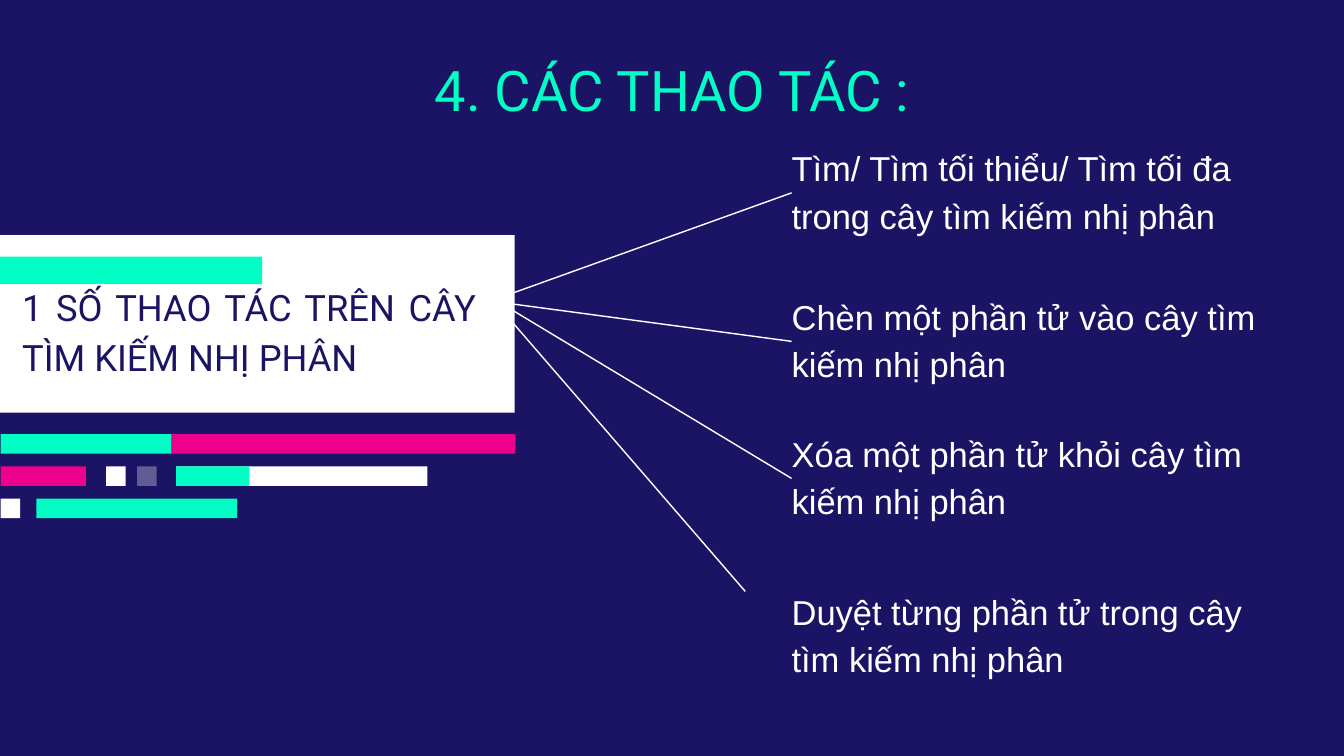
from pptx import Presentation
from pptx.dml.color import RGBColor
from pptx.enum.shapes import MSO_CONNECTOR, MSO_SHAPE
from pptx.enum.text import MSO_ANCHOR, MSO_AUTO_SIZE, PP_ALIGN
from pptx.oxml.ns import qn
from pptx.util import Inches, Pt
from lxml.etree import SubElement

NAVY = RGBColor(0x1B, 0x14, 0x64)
MINT = RGBColor(0x00, 0xFF, 0xC5)
PINK = RGBColor(0xEC, 0x00, 0x8C)
WHITE = RGBColor(0xFF, 0xFF, 0xFF)

ROWS = [6.46, 6.94, 7.42]
BAR = 0.29
BARS = [
    (0, 2.55, 5.12, PINK, 100),
    (0, 0.01, 2.54, MINT, 100),
    (1, 2.62, 3.74, WHITE, 100),
    (1, 2.62, 1.09, MINT, 100),
    (1, 0.01, 1.27, PINK, 100),
    (1, 2.04, BAR, WHITE, 31),
    (1, 1.58, BAR, WHITE, 100),
    (2, 0.01, BAR, WHITE, 100),
    (2, 0.54, 2.99, MINT, 100),
]
LINES = [
    ((11.78, 2.87), (7.3, 4.48), True),
    ((11.78, 5.08), (7.3, 4.48), True),
    ((7.3, 4.42), (11.78, 7.12), False),
    ((7.3, 4.42), (11.09, 8.8), False),
]
ITEMS = [
    (2.1, "Tìm/ Tìm tối thiểu/ Tìm tối đa trong cây tìm kiếm nhị phân"),
    (4.31, "Chèn một phần tử vào cây tìm kiếm nhị phân"),
    (6.35, "Xóa một phần tử khỏi cây tìm kiếm nhị phân"),
    (8.7, "Duyệt từng phần tử trong cây tìm kiếm nhị phân"),
]


class Deck:
    head_font = "Roboto"
    body_font = "Arial"

    def __init__(self, slide):
        self.slide = slide
        fill = slide.background.fill
        fill.solid()
        fill.fore_color.rgb = NAVY

    def style(self, shape, text, font, size, lead, color, align):
        frame = shape.text_frame
        frame.text = text
        frame.word_wrap = True
        frame.auto_size = MSO_AUTO_SIZE.NONE
        frame.vertical_anchor = MSO_ANCHOR.TOP
        frame.margin_left = frame.margin_right = 0
        frame.margin_top = frame.margin_bottom = 0
        para = frame.paragraphs[0]
        para.alignment = align
        para.line_spacing = Pt(lead)
        para.space_before = Pt(0)
        run = para.runs[0].font
        run.name = font
        run.size = Pt(size)
        run.color.rgb = color

    def title(self, text, left, top, width, height):
        shape = self.slide.shapes.title
        shape.left, shape.top = Inches(left), Inches(top)
        shape.width, shape.height = Inches(width), Inches(height)
        self.style(shape, text, self.head_font, 60, 72, MINT, PP_ALIGN.CENTER)

    def text(self, text, left, top, width, height, font, size, lead, color, align):
        shape = self.slide.shapes.add_textbox(
            Inches(left), Inches(top), Inches(width), Inches(height))
        self.style(shape, text, font, size, lead, color, align)

    def label(self, text, left, top, width, height):
        self.text(text, left, top, width, height,
                  self.head_font, 38.9, 53.7, NAVY, PP_ALIGN.JUSTIFY)

    def item(self, text, top):
        self.text(text, 11.78, top, 7.45, 1.43,
                  self.body_font, 37, 51, WHITE, PP_ALIGN.LEFT)

    def block(self, left, top, width, height, color, alpha=100):
        shape = self.slide.shapes.add_shape(
            MSO_SHAPE.RECTANGLE,
            Inches(left), Inches(top), Inches(width), Inches(height))
        shape.shadow.inherit = False
        shape.line.fill.background()
        shape.fill.solid()
        shape.fill.fore_color.rgb = color
        if alpha < 100:
            tint = shape.fill._xPr.find(".//" + qn("a:srgbClr"))
            SubElement(tint, qn("a:alpha"), val=str(alpha * 1000))

    def line(self, start, end, dot):
        shape = self.slide.shapes.add_connector(
            MSO_CONNECTOR.STRAIGHT, *map(Inches, start + end))
        shape.line.color.rgb = WHITE
        shape.line.width = Pt(1.5)
        if dot:
            SubElement(shape.line._get_or_add_ln(), qn("a:tailEnd"), type="oval")
        SubElement(shape._element.spPr, qn("a:effectLst"))


def main():
    show = Presentation()
    show.slide_width = Inches(20)
    show.slide_height = Inches(11.25)
    deck = Deck(show.slides.add_slide(show.slide_layouts[5]))

    deck.title("4. CÁC THAO TÁC :", 2.9, 0.82, 14.21, 1.03)
    deck.block(0, 3.5, 7.66, 2.64, WHITE)
    deck.label("1 SỐ THAO TÁC TRÊN CÂY TÌM KIẾM NHỊ PHÂN", 0.33, 4.14, 6.76, 1.48)
    deck.block(0, 3.82, 3.9, 0.41, MINT)
    for row, left, width, color, alpha in BARS:
        deck.block(left, ROWS[row], width, BAR, color, alpha)
    for start, end, dot in LINES:
        deck.line(start, end, dot)
    for top, text in ITEMS:
        deck.item(text, top)

    show.save("out.pptx")


if __name__ == "__main__":
    main()
